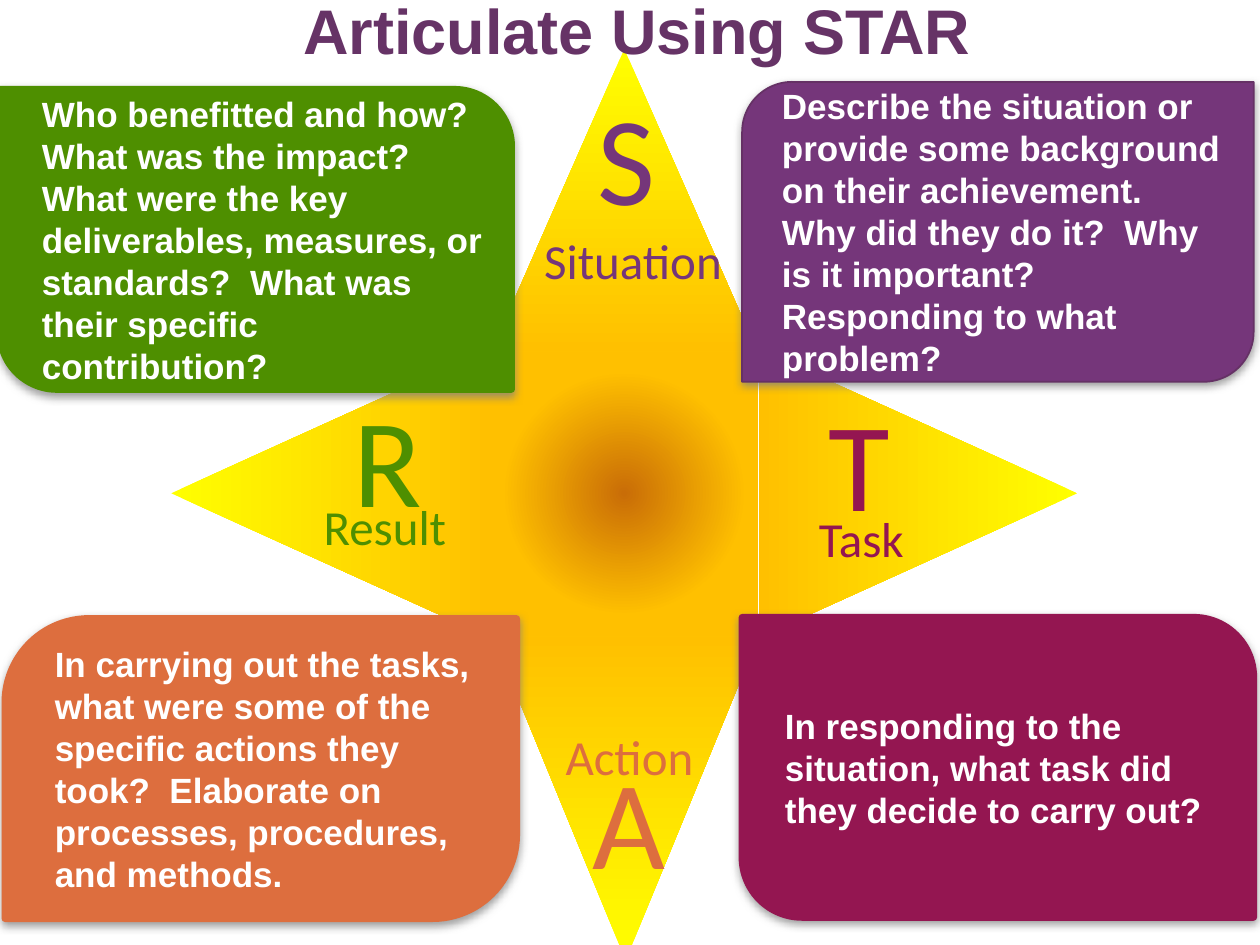
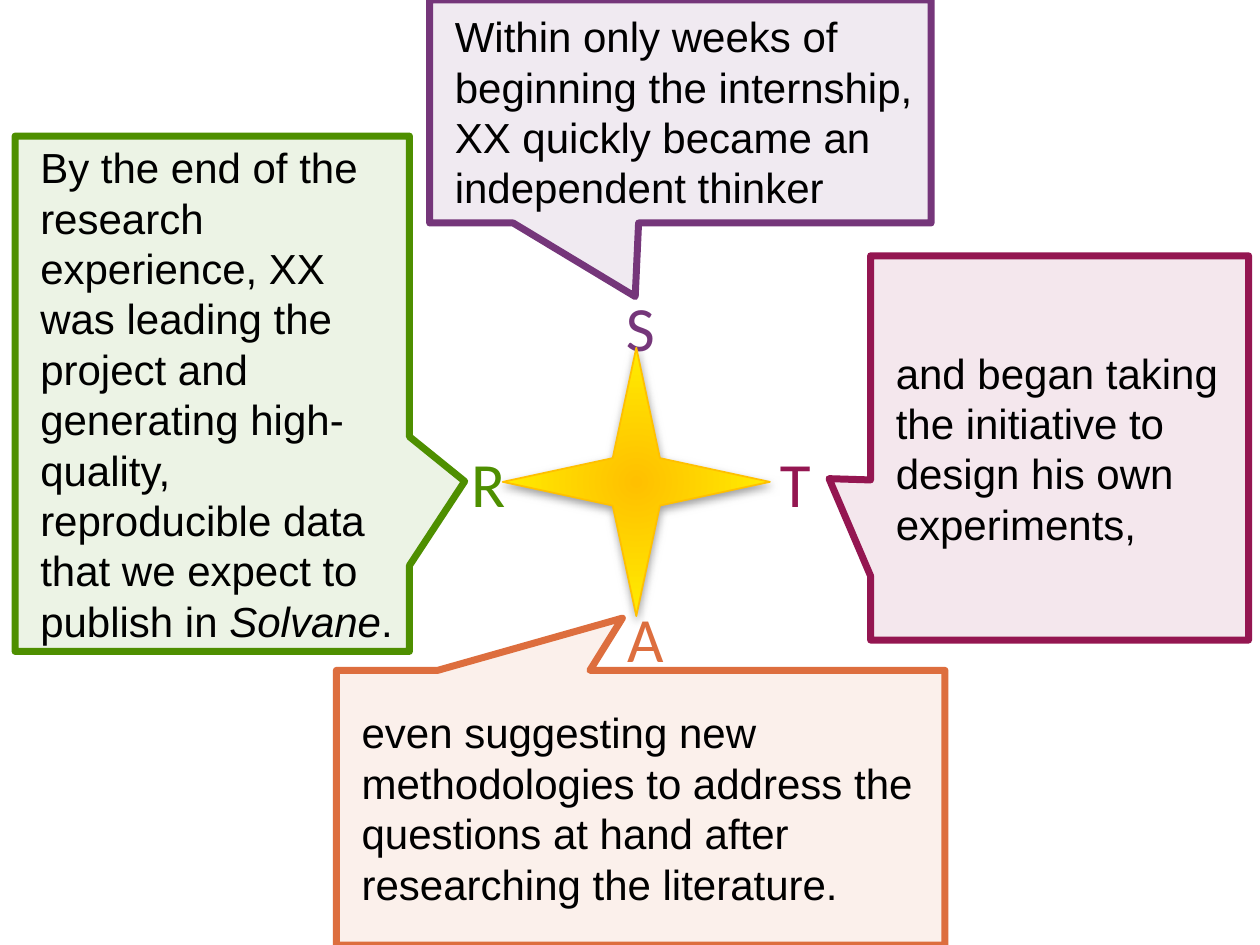
from dataclasses import dataclass
from typing import Optional

from lxml import etree
from pptx import Presentation, util as u
from pptx.dml import color as clr
from pptx.enum import shapes, text
from pptx.oxml import ns

MSO = shapes.MSO_SHAPE


@dataclass(frozen=True)
class Theme:
    situation: str = "75367A"
    task: str = "941651"
    action: str = "DD6E3E"
    result: str = "4E8F00"
    title: str = "663366"
    edge: str = "653165"
    white: str = "FFFFFF"
    black: str = "000000"
    yellow: str = "FFFF00"
    gold: str = "FFC000"
    amber: str = "C96D07"
    shadow: str = "808080"
    body_font: str = "Arial"
    letter_font: str = "Calibri"
    initial_pt: int = 72
    small_initial_pt: int = 36
    name_pt: int = 28
    title_pt: int = 36
    panel_pt: int = 20
    callout_pt: int = 24
    border_pt: int = 4


T = Theme()


@dataclass(frozen=True)
class Box:
    left: float
    top: float
    width: float
    height: float

    def emu(self) -> tuple:
        return tuple(u.Inches(v) for v in (self.left, self.top, self.width, self.height))


@dataclass(frozen=True)
class Style:
    size: int
    color: str
    font: str = T.body_font
    bold: bool = False


@dataclass(frozen=True)
class Label:
    box: Box
    words: str
    style: Style
    wrap: bool = True


@dataclass(frozen=True)
class Panel:
    """A filled box with text; words between asterisks are italic."""
    box: Box
    words: str
    color: str
    adjust: tuple = ()
    edge: Optional[str] = None
    edge_pt: float = T.border_pt


@dataclass(frozen=True)
class Ray:
    box: Box
    rotation: int


def rgb(value: str) -> clr.RGBColor:
    return clr.RGBColor.from_string(value)


def sub(parent, tag: str, **attrs):
    return etree.SubElement(parent, ns.qn(tag), {k: str(v) for k, v in attrs.items()})


def write(tf, words: str, style: Style) -> None:
    p = tf.paragraphs[0]
    p.alignment = text.PP_ALIGN.LEFT
    p.font.name, p.font.size, p.font.bold = style.font, u.Pt(style.size), style.bold
    p.font.color.rgb = rgb(style.color)
    for i, part in enumerate(words.split("*")):
        r = p.add_run()
        r.text = part
        if i % 2:
            r.font.italic = True


def add_label(s, label: Label) -> None:
    tf = s.shapes.add_textbox(*label.box.emu()).text_frame
    tf.word_wrap = label.wrap
    write(tf, label.words, label.style)


def add_plain(s, kind, box: Box):
    sp = s.shapes.add_shape(kind, *box.emu())
    sp.shadow.inherit = False
    sp.line.fill.background()
    return sp


def add_shadow(sp) -> None:
    effects = sp._element.spPr.find(ns.qn("a:effectLst"))
    shadow = sub(effects, "a:outerShdw", blurRad=u.Pt(5), dist=u.Pt(2),
                 dir=5400000, rotWithShape=0)
    sub(sub(shadow, "a:srgbClr", val=T.shadow), "a:alpha", val=75000)


def set_gradient(sp, stops: list, radial: bool) -> None:
    """Fill from the centre outwards, or from the top down."""
    sp.fill.background()
    spPr = sp._element.spPr
    grad = etree.Element(ns.qn("a:gradFill"), {"rotWithShape": "1"})
    gs_list = sub(grad, "a:gsLst")
    for percent, color in stops:
        sub(sub(gs_list, "a:gs", pos=percent * 1000), "a:srgbClr", val=color)
    if radial:
        middle = dict.fromkeys("ltrb", 50000)
        sub(sub(grad, "a:path", path="circle"), "a:fillToRect", **middle)
    else:
        sub(grad, "a:lin", ang=5400000, scaled=0)
    spPr.replace(spPr.find(ns.qn("a:noFill")), grad)


def add_panel(s, kind, panel: Panel, style: Style):
    sp = add_plain(s, kind, panel.box)
    for i, value in enumerate(panel.adjust):
        sp.adjustments[i] = value
    sp.fill.solid()
    sp.fill.fore_color.rgb = rgb(panel.color)
    sp.line.color.rgb = rgb(panel.edge or panel.color)
    sp.line.width = u.Pt(panel.edge_pt)
    tf = sp.text_frame
    tf.word_wrap = True
    tf.vertical_anchor = text.MSO_ANCHOR.MIDDLE
    tf.margin_left = u.Inches(0.2)
    write(tf, panel.words, style)
    return sp


def tint(sp, percent: int) -> None:
    color = sp._element.spPr.find(ns.qn("a:solidFill")).find(ns.qn("a:srgbClr"))
    sub(color, "a:alpha", val=percent * 1000)


def initial(box: Box, words: str, color: str, size: int, wrap: bool = True) -> Label:
    return Label(box, words, Style(size, color, T.letter_font), wrap)


RAYS = [
    Ray(Box(6.14, 2.65, 2.29, 2.53), 90),
    Ray(Box(1.48, 2.65, 2.29, 2.53), 270),
    Ray(Box(3.9, 0.39, 2.11, 2.4), 0),
    Ray(Box(3.91, 5.05, 2.11, 2.57), 180),
]

STAR_LABELS = [
    initial(Box(4.64, 0.58, 0.67, 1.31), "S", T.situation, T.initial_pt, False),
    initial(Box(6.48, 3.01, 0.69, 1.31), "T", T.task, T.initial_pt, False),
    initial(Box(4.6, 5.85, 0.92, 1.31), "A", T.action, T.initial_pt),
    initial(Box(2.71, 2.98, 0.75, 1.31), "R", T.result, T.initial_pt, False),
    initial(Box(4.22, 1.78, 2.18, 0.57), "Situation", T.situation, T.name_pt),
    initial(Box(6.4, 3.99, 0.88, 0.57), "Task", T.task, T.name_pt, False),
    initial(Box(4.39, 5.72, 1.44, 0.57), "Action", T.action, T.name_pt),
    initial(Box(2.47, 3.89, 1.19, 0.57), "Result", T.result, T.name_pt),
    Label(Box(2.31, -0.12, 7.6, 0.8), "Articulate Using STAR",
          Style(T.title_pt, T.title, bold=True)),
]

QUESTIONS = [
    Panel(Box(5.89, 0.65, 4.06, 2.38),
          "Describe the situation or provide some background on their achievement.  "
          "Why did they do it?  Why is it important? Responding to what problem?",
          T.situation, edge=T.edge, edge_pt=1),
    Panel(Box(5.89, 4.9, 4.06, 2.38),
          "In responding to the situation, what task did they decide to carry out?",
          T.task, (0, 0.2)),
    Panel(Box(0.04, 4.91, 4.06, 2.38),
          "In carrying out the tasks, what were some of the specific actions they took?  "
          "Elaborate on processes, procedures, and methods.",
          T.action, (0.28, 0)),
    Panel(Box(0, 0.71, 4.06, 2.38),
          "Who benefitted and how? What was the impact? What were the key deliverables, "
          "measures, or standards?  What was their specific contribution?",
          T.result, (0, 0.19)),
]

EXAMPLE_INITIALS = [
    initial(Box(4.87, 2.24, 0.46, 0.71), "S", T.situation, T.small_initial_pt),
    initial(Box(6.09, 3.48, 0.41, 0.71), "T", T.task, T.small_initial_pt),
    initial(Box(4.88, 4.71, 0.63, 0.71), "A", T.action, T.small_initial_pt),
    initial(Box(3.64, 3.48, 0.27, 0.71), "R", T.result, T.small_initial_pt),
]

EXAMPLES = [
    Panel(Box(3.41, 0, 3.98, 1.77),
          "Within only weeks of beginning the internship, XX quickly became an "
          "independent thinker", T.situation, (-0.09, 0.83)),
    Panel(Box(6.91, 2.03, 3, 3.05),
          "and began taking the initiative to design his own experiments,",
          T.task, (-0.61, 0.08)),
    Panel(Box(0.12, 1.08, 3.13, 4.09),
          "By the end of the research experience, XX was leading the project and "
          "generating high-quality, reproducible data that we expect to publish in "
          "*Solvane*.", T.result, (0.64, 0.17)),
    Panel(Box(2.67, 5.32, 4.83, 2.18),
          "even suggesting new methodologies to address the questions at hand after "
          "researching the literature.", T.action, (-0.03, -0.69)),
]


def build_star_slide(s) -> None:
    core = add_plain(s, MSO.RECTANGLE, Box(3.89, 2.77, 2.13, 2.29))
    set_gradient(core, [(0, T.amber), (62, T.gold)], radial=True)
    for ray in RAYS:
        sp = add_plain(s, MSO.ISOSCELES_TRIANGLE, ray.box)
        sp.rotation = ray.rotation
        set_gradient(sp, [(0, T.yellow), (100, T.gold)], radial=False)
    for label in STAR_LABELS:
        add_label(s, label)
    style = Style(T.panel_pt, T.white, bold=True)
    for panel in QUESTIONS:
        add_shadow(add_panel(s, MSO.ROUND_2_DIAG_RECTANGLE, panel, style))


def build_example_slide(s) -> None:
    for label in EXAMPLE_INITIALS:
        add_label(s, label)
    style = Style(T.callout_pt, T.black)
    for panel in EXAMPLES:
        tint(add_panel(s, MSO.RECTANGULAR_CALLOUT, panel, style), 10)
    star = add_plain(s, MSO.STAR_4_POINT, Box(3.99, 2.76, 2.12, 2.13))
    set_gradient(star, [(0, T.gold), (100, T.yellow)], radial=True)
    star.line.color.rgb = rgb(T.gold)
    star.line.width = u.Pt(1)
    add_shadow(star)


def main() -> None:
    prs = Presentation()
    prs.slide_width, prs.slide_height = u.Inches(10), u.Inches(7.5)
    for build in (build_star_slide, build_example_slide):
        build(prs.slides.add_slide(prs.slide_layouts[6]))
    prs.save("out.pptx")


if __name__ == "__main__":
    main()
